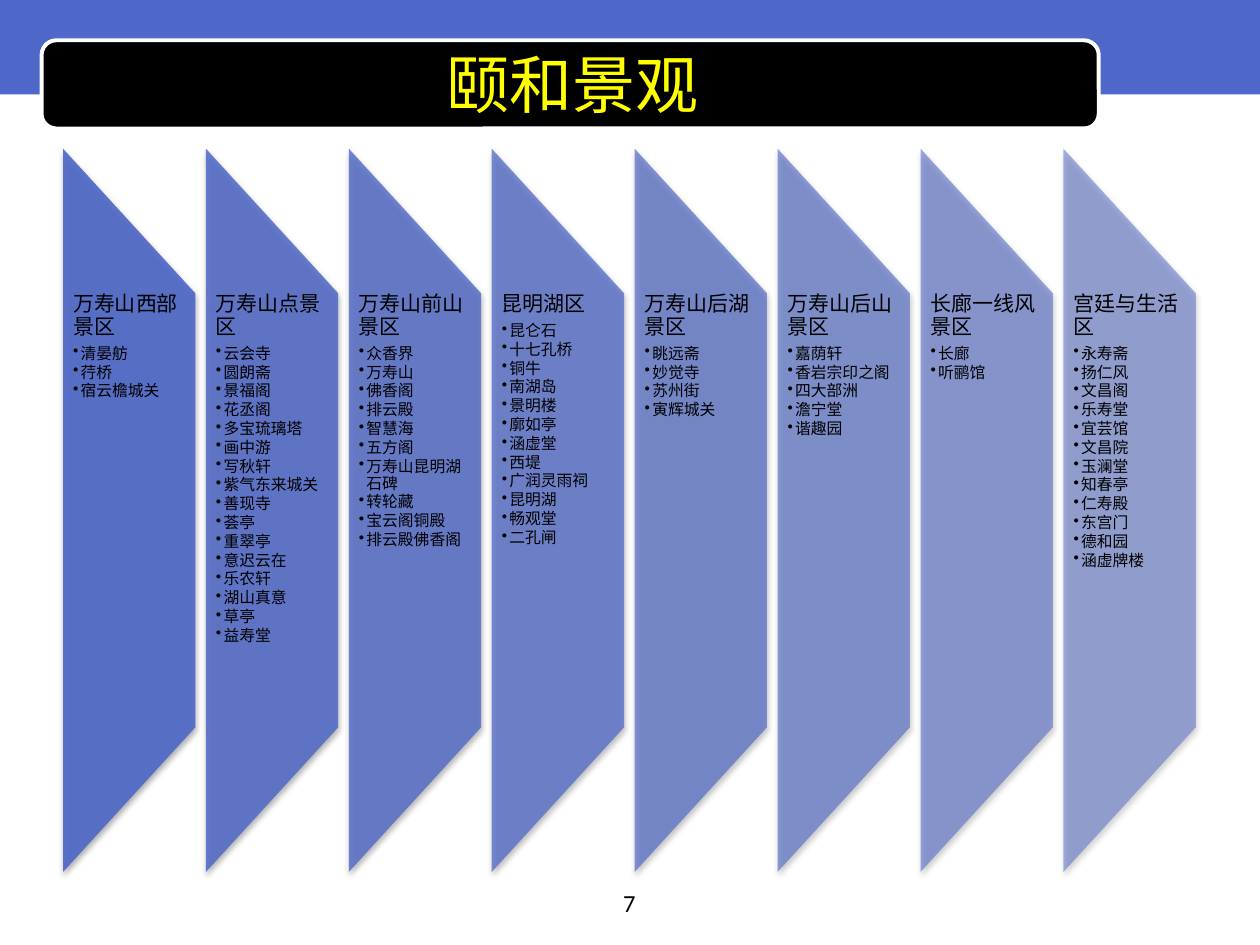
from dataclasses import dataclass

from lxml.etree import SubElement
from pptx import Presentation
from pptx.dml.color import RGBColor
from pptx.enum.shapes import MSO_SHAPE
from pptx.enum.text import MSO_ANCHOR, PP_ALIGN
from pptx.oxml.ns import qn
from pptx.util import Inches, Pt


@dataclass(frozen=True)
class Theme:
    """Colours, fonts and type sizes of the slide."""
    blue: RGBColor = RGBColor(0x4E, 0x67, 0xC8)
    black: RGBColor = RGBColor(0, 0, 0)
    white: RGBColor = RGBColor(255, 255, 255)
    yellow: RGBColor = RGBColor(255, 255, 0)
    title_font: str = "Arial"
    list_font: str = "Noto Sans CJK SC"
    number_font: str = "Calibri"
    title_size: float = 36
    heading_size: float = 12
    item_size: float = 9
    number_size: float = 14


THEME = Theme()

AREAS = {
    "万寿山西部景区": "清晏舫 荇桥 宿云檐城关",
    "万寿山点景区": "云会寺 圆朗斋 景福阁 花丞阁 多宝琉璃塔 画中游 写秋轩 紫气东来城关 "
                    "善现寺 荟亭 重翠亭 意迟云在 乐农轩 湖山真意 草亭 益寿堂",
    "万寿山前山景区": "众香界 万寿山 佛香阁 排云殿 智慧海 五方阁 万寿山昆明湖石碑 "
                      "转轮藏 宝云阁铜殿 排云殿佛香阁",
    "昆明湖区": "昆仑石 十七孔桥 铜牛 南湖岛 景明楼 廓如亭 涵虚堂 西堤 广润灵雨祠 "
                "昆明湖 畅观堂 二孔闸",
    "万寿山后湖景区": "眺远斋 妙觉寺 苏州街 寅辉城关",
    "万寿山后山景区": "嘉荫轩 香岩宗印之阁 四大部洲 澹宁堂 谐趣园",
    "长廊一线风景区": "长廊 听鹂馆",
    "宫廷与生活区": "永寿斋 扬仁风 文昌阁 乐寿堂 宜芸馆 文昌院 玉澜堂 知春亭 仁寿殿 "
                    "东宫门 德和园 涵虚牌楼",
}


def add_filled(slide, kind, box, colour):
    """Add a borderless preset shape in one colour."""
    shape = slide.shapes.add_shape(kind, *map(Inches, box))
    shape.shadow.inherit = False
    shape.fill.solid()
    shape.fill.fore_color.rgb = colour
    shape.line.fill.background()
    return shape


def add_text_box(slide, box, margins):
    """Add a wrapping text box and return its text frame."""
    frame = slide.shapes.add_textbox(*map(Inches, box)).text_frame
    frame.word_wrap = True
    frame.margin_left = frame.margin_right = Inches(margins[0])
    frame.margin_top = frame.margin_bottom = Inches(margins[1])
    return frame


def style(paragraph, font_name, size, colour):
    """Set the font of a whole paragraph, East Asian text included."""
    font = paragraph.font
    font.name = font_name
    font.size = Pt(size)
    font.color.rgb = colour
    properties = paragraph._p.pPr.find(qn("a:defRPr"))
    east_asian = SubElement(properties, qn("a:ea"), typeface=font_name)
    properties.find(qn("a:latin")).addnext(east_asian)


def soften(shape, opacity):
    """Make the fill translucent and add a soft shadow below."""
    properties = shape._element.spPr
    colour = properties.find(qn("a:solidFill")).find(qn("a:srgbClr"))
    SubElement(colour, qn("a:alpha"), val=str(opacity * 1000))
    shadow = SubElement(properties.find(qn("a:effectLst")), qn("a:outerShdw"),
                        blurRad=str(Pt(3.1)), dist=str(Pt(1.8)),
                        dir="5400000", rotWithShape="0")
    shade = SubElement(shadow, qn("a:srgbClr"), val=str(THEME.black))
    SubElement(shade, qn("a:alpha"), val="35000")


def make_bullet(paragraph):
    """Give a paragraph a hanging round bullet."""
    paragraph.level = 1
    properties = paragraph._p.get_or_add_pPr()
    properties.set("marL", str(Inches(0.06)))
    properties.set("indent", str(-Inches(0.06)))
    SubElement(properties, qn("a:buChar"), char="•")


def add_header(slide, box, text):
    """Place the blue band, the black plate and the title on it."""
    left, top, width, height = box
    add_filled(slide, MSO_SHAPE.RECTANGLE, box, THEME.blue)
    plate_box = (left + 0.33, top + 0.32, width - 1.61, height - 0.05)
    plate = add_filled(slide, MSO_SHAPE.ROUNDED_RECTANGLE, plate_box, THEME.black)
    plate.line.color.rgb = THEME.white
    plate.line.width = Pt(2.25)
    title = slide.shapes.title
    slide.shapes._spTree.append(title._element)
    title.left, title.top = Inches(left + 0.5), Inches(top + 0.35)
    title.width, title.height = Inches(8.08), Inches(0.62)
    title.text_frame.text = text
    title.text_frame.vertical_anchor = MSO_ANCHOR.MIDDLE
    paragraph = title.text_frame.paragraphs[0]
    paragraph.alignment = PP_ALIGN.CENTER
    style(paragraph, THEME.title_font, THEME.title_size, THEME.yellow)


def add_area(slide, box, heading, items, opacity):
    """Place one upright panel with its heading and list."""
    left, top, width, height = box
    turned = (left + (width - height) / 2, top + (height - width) / 2, height, width)
    panel = add_filled(slide, MSO_SHAPE.FLOWCHART_MANUAL_OPERATION, turned, THEME.blue)
    panel.rotation = 270
    soften(panel, opacity)
    frame = add_text_box(slide, (left, top + height / 5, width, height * 0.6), (0.08, 0))
    for index, text in enumerate([heading, *items]):
        paragraph = frame.add_paragraph() if index else frame.paragraphs[0]
        paragraph.text = text
        paragraph.line_spacing = 0.9
        paragraph.space_after = Pt(1 if index else 4)
        if index:
            make_bullet(paragraph)
        size = THEME.item_size if index else THEME.heading_size
        style(paragraph, THEME.list_font, size, THEME.black)


def add_areas(slide, box, areas):
    """Spread the panels evenly over the box, fading to the right."""
    left, top, width, height = box
    panel_width = 1.05
    last = len(areas) - 1
    step = (width - panel_width) / last
    for index, (heading, items) in enumerate(areas.items()):
        panel_box = (left + index * step, top, panel_width, height)
        add_area(slide, panel_box, heading, items.split(), round(90 - 40 * index / last))


def add_page_number(slide, box, number):
    """Place the centred page number."""
    paragraph = add_text_box(slide, box, (0.1, 0.05)).paragraphs[0]
    paragraph.text = number
    paragraph.alignment = PP_ALIGN.CENTER
    style(paragraph, THEME.number_font, THEME.number_size, THEME.black)


def main():
    """Build and save the slide."""
    presentation = Presentation()
    presentation.slide_width, presentation.slide_height = Inches(10), Inches(7.5)
    slide = presentation.slides.add_slide(presentation.slide_layouts[5])
    add_header(slide, (0, 0, 10, 0.75), "颐和景观")
    add_areas(slide, (0.5, 1.18, 8.99, 5.74), AREAS)
    add_page_number(slide, (3.83, 7, 2.33, 0.35), "7")
    presentation.save("out.pptx")


if __name__ == "__main__":
    main()
